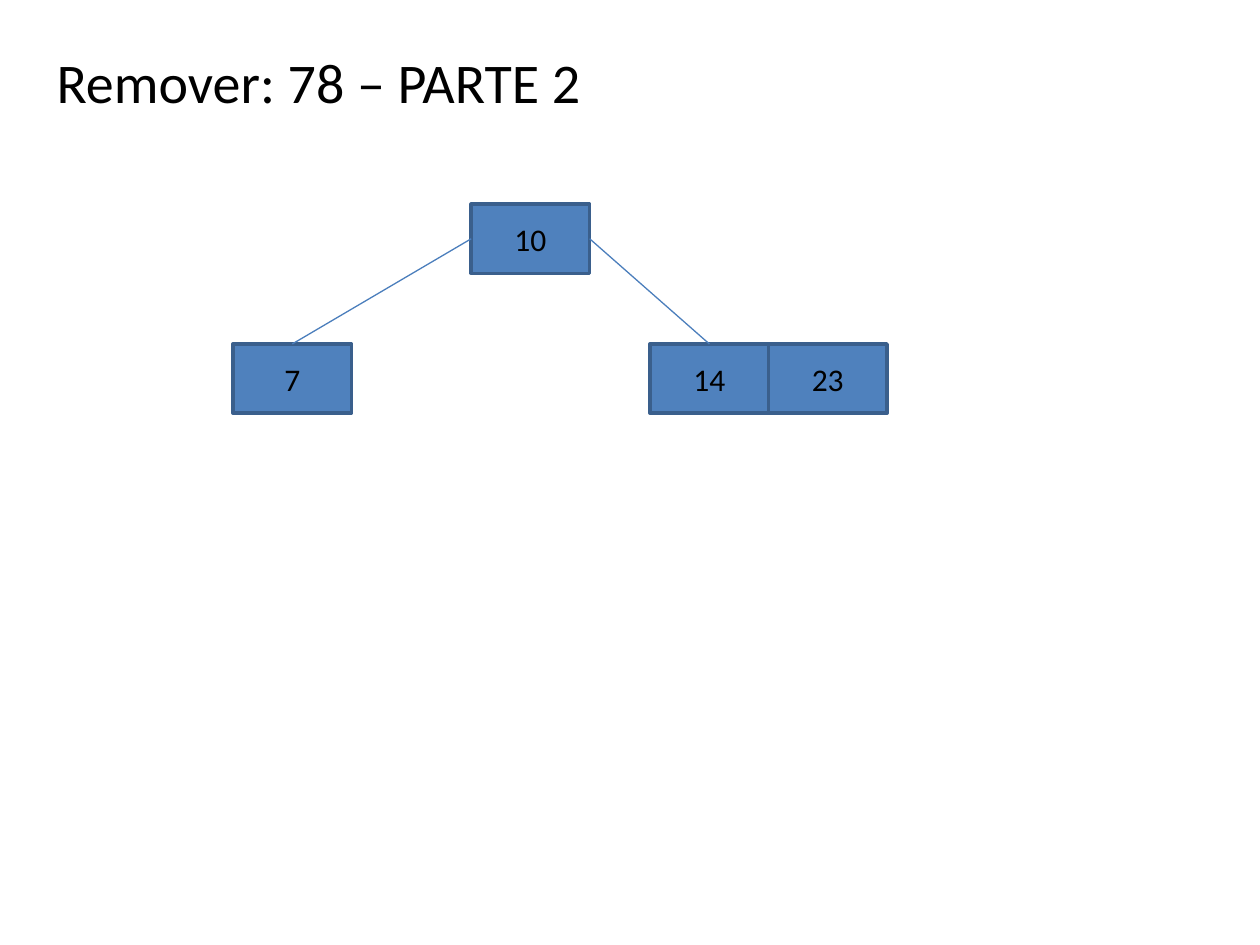
from dataclasses import dataclass

from lxml.etree import SubElement
from pptx import Presentation
from pptx.dml.color import RGBColor
from pptx.enum.shapes import MSO_CONNECTOR, MSO_SHAPE
from pptx.enum.text import MSO_ANCHOR, PP_ALIGN
from pptx.oxml.ns import qn
from pptx.util import Inches, Pt


@dataclass(frozen=True)
class Theme:
    font: str = "Calibri"
    text: RGBColor = RGBColor(0x00, 0x00, 0x00)
    key_fill: RGBColor = RGBColor(0x4F, 0x81, 0xBD)
    key_border: RGBColor = RGBColor(0x3A, 0x5F, 0x8C)
    branch: RGBColor = RGBColor(0x4B, 0x7E, 0xBC)
    title_size: int = 32
    key_size: int = 18
    border_width: float = 2
    branch_width: float = 0.75


THEME = Theme()
KEY_WIDTH, KEY_HEIGHT = 0.94, 0.55


def write(shape, text, size, align):
    frame = shape.text_frame
    frame.text = text
    frame.word_wrap = True
    frame.vertical_anchor = MSO_ANCHOR.MIDDLE
    paragraph = frame.paragraphs[0]
    paragraph.alignment = align
    font = paragraph.runs[0].font
    font.name, font.size = THEME.font, Pt(size)
    font.color.rgb = THEME.text


def add_title(slide, text, left, top, width, height):
    title = slide.shapes.add_textbox(
        Inches(left), Inches(top), Inches(width), Inches(height))
    write(title, text, THEME.title_size, PP_ALIGN.LEFT)


def add_node(slide, keys, left, top):
    """Place the keys of one tree node side by side and return their cells."""
    cells = []
    for index, key in enumerate(keys):
        cell = slide.shapes.add_shape(
            MSO_SHAPE.RECTANGLE, Inches(left + index * KEY_WIDTH), Inches(top),
            Inches(KEY_WIDTH), Inches(KEY_HEIGHT))
        cell.shadow.inherit = False
        cell.fill.solid()
        cell.fill.fore_color.rgb = THEME.key_fill
        cell.line.color.rgb = THEME.key_border
        cell.line.width = Pt(THEME.border_width)
        write(cell, str(key), THEME.key_size, PP_ALIGN.CENTER)
        cells.append(cell)
    return cells


def add_branch(slide, parent, parent_site, child):
    branch = slide.shapes.add_connector(MSO_CONNECTOR.STRAIGHT, 0, 0, 0, 0)
    branch.begin_connect(parent, parent_site)
    branch.end_connect(child, 0)
    branch.line.color.rgb = THEME.branch
    branch.line.width = Pt(THEME.branch_width)
    SubElement(branch._element.spPr, qn("a:effectLst"))


def add_tree(slide, left, top):
    # Nodes: root, then its children one level below
    child_top = top + 2 * KEY_HEIGHT + 0.01
    root = add_node(slide, [10], left + 1.89, top)[0]
    left_child = add_node(slide, [7], left, child_top)[0]
    right_child = add_node(slide, [14, 23], left + 3.31, child_top)[0]

    # Branches leave the root at its left (1) and right (3) sides
    add_branch(slide, root, 1, left_child)
    add_branch(slide, root, 3, right_child)


presentation = Presentation()
presentation.slide_width, presentation.slide_height = Inches(10), Inches(7.5)
slide = presentation.slides.add_slide(presentation.slide_layouts[6])

add_title(slide, "Remover: 78 – PARTE 2", 0.35, 0.29, 6.61, 0.71)
add_tree(slide, 1.85, 1.62)

presentation.save("out.pptx")
